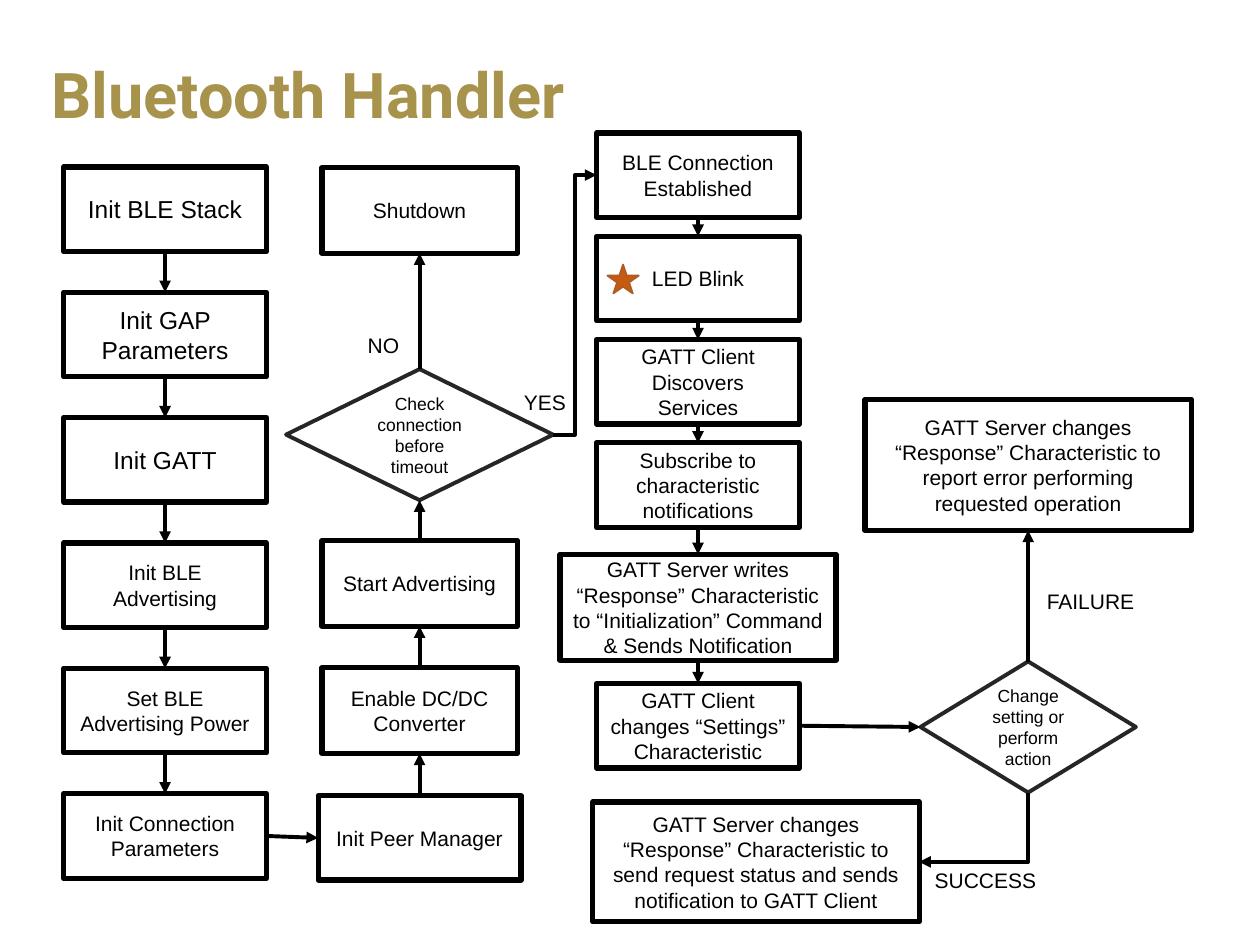
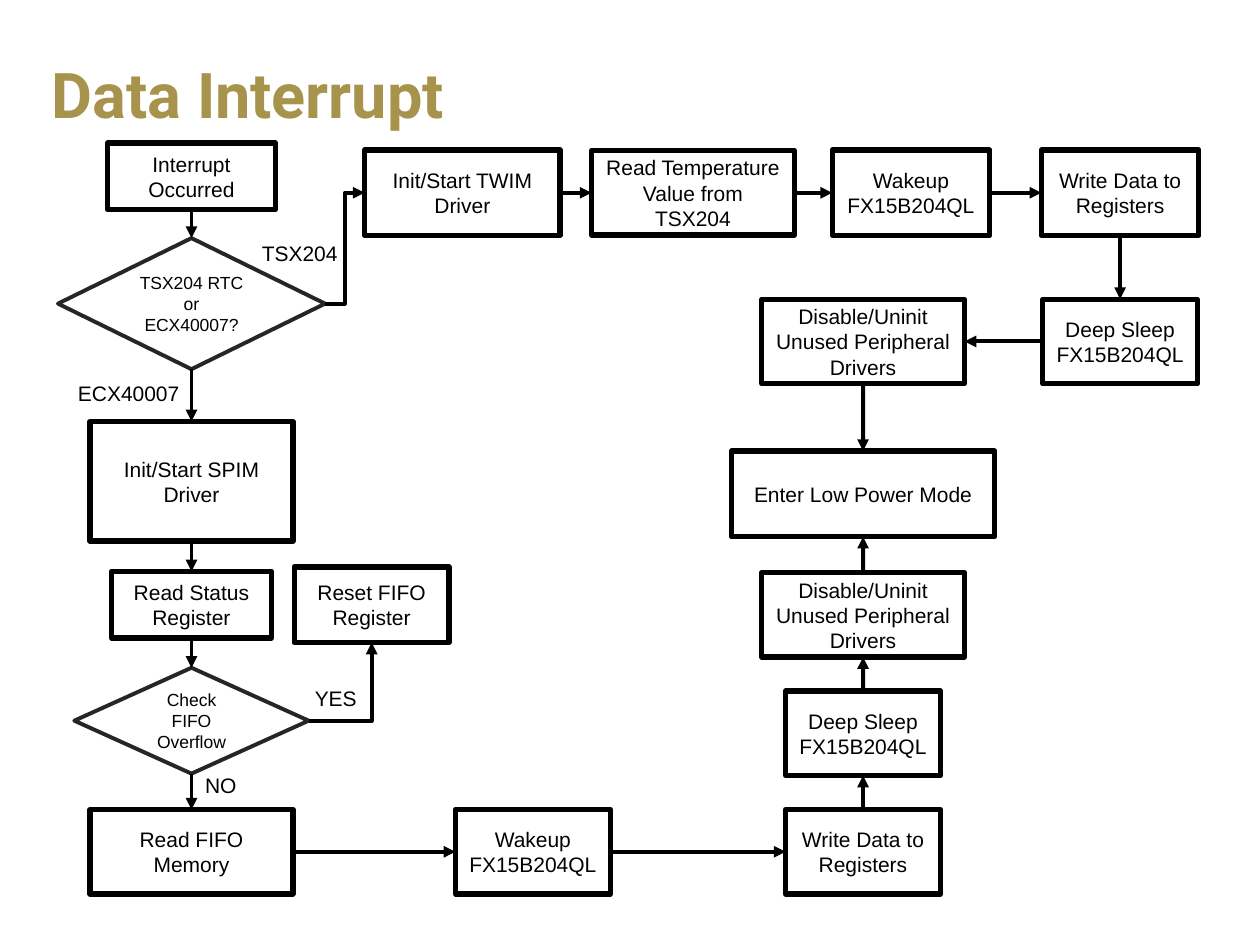
"""Build two flowchart slides about firmware for a wireless sensor."""
import lxml.etree
import pptx
import pptx.dml.color
import pptx.enum.shapes
import pptx.enum.text
import pptx.oxml.ns
import pptx.util

COLORS = {"gold": "A7934B", "ink": "000000", "decision": "262626", "star": "C55A11", "star edge": "AF5C24"}
BODY_FONT, TITLE_FONT = "Arial", "Roboto"
SIZES = {
    "standard": (1.61, 0.67), "medium": (1.55, 0.68), "small": (1.23, 0.67), "chip": (1.25, 0.68),
    "wide": (2.09, 0.68), "write": (2.19, 0.84), "success": (2.59, 0.95), "failure": (2.59, 1.04),
    "tall": (1.61, 0.95), "occurred": (1.33, 0.53), "status": (1.27, 0.53), "reset": (1.23, 0.6),
    "decision": (2.12, 1.04), "action": (1.71, 1.04), "overflow": (1.86, 0.84),
}
DECISIONS = {"decision", "action", "overflow"}
ROUTES = {
    "down": (2, 0, "line"), "up": (0, 2, "line"), "right": (3, 1, "line"), "left": (1, 3, "line"),
    "step right": (3, 1, "elbow"), "corner up": (3, 2, "corner"), "corner left": (2, 3, "corner"),
}
LABEL_HEIGHT = 0.3

# Each stack is: column centre, first row centre, row pitch, then (name, size, text, points).
SLIDES = [
    {
        "title": "Bluetooth Handler",
        "title width": 5.05,
        "stacks": [
            (1.31, 1.66, 0.995, [
                ("stack", "standard", "Init BLE Stack", 14),
                ("gap", "standard", "Init GAP Parameters", 14),
                ("gatt", "standard", "Init GATT", 14),
                ("advertising", "standard", "Init BLE Advertising", 12),
                ("power", "standard", "Set BLE Advertising Power", 12),
                ("parameters", "standard", "Init Connection Parameters", 12),
            ]),
            (3.33, 1.67, 0, [("shutdown", "medium", "Shutdown", 12)]),
            (3.33, 3.45, 0, [("check", "decision", "Check connection before timeout", 10)]),
            (3.33, 4.63, 1.01, [
                ("start", "medium", "Start Advertising", 12),
                ("converter", "medium", "Enable DC/DC Converter", 12),
                ("peer", "standard", "Init Peer Manager", 12),
            ]),
            (5.54, 1.39, 0.82, [
                ("connected", "standard", "BLE Connection Established", 12),
                ("blink", "standard", "LED Blink", 12),
                ("discover", "standard", "GATT Client Discovers Services", 12),
                ("subscribe", "standard", "Subscribe to characteristic notifications", 12),
            ]),
            (5.54, 4.82, 0.94, [
                ("write", "write", "GATT Server writes “Response” Characteristic to "
                 "“Initialization” Command & Sends Notification", 12),
                ("settings", "standard", "GATT Client changes “Settings” Characteristic", 12),
            ]),
            (6, 6.84, 0, [("success", "success", "GATT Server changes “Response” Characteristic to "
                           "send request status and sends notification to GATT Client", 12)]),
            (8.16, 3.69, 2.08, [
                ("failure", "failure", "GATT Server changes “Response” Characteristic to "
                 "report error performing requested operation", 12),
                ("action", "action", "Change setting or perform action", 10),
            ]),
        ],
        "flows": [
            ("down", "stack gap gatt advertising power parameters"),
            ("right", "parameters peer"),
            ("up", "peer converter start check shutdown"),
            ("step right", "check connected"),
            ("down", "connected blink discover subscribe write settings"),
            ("right", "settings action"),
            ("up", "action failure"),
            ("corner left", "action success"),
        ],
        "labels": [("YES", 4.06, 3.04, 0.6), ("NO", 2.82, 2.59, 0.6),
                   ("FAILURE", 8.21, 4.62, 1.07), ("SUCCESS", 7.32, 6.84, 1.09)],
        "stars": [(4.82, 2.1, 0.25, 0.23)],
    },
    {
        "title": "Data Interrupt",
        "title width": 6.4,
        "stacks": [
            (1.52, 1.4, 0, [("interrupt", "occurred", "Interrupt Occurred", 12)]),
            (1.52, 2.41, 0, [("source", "decision", "TSX204 RTC or ECX40007?", 10)]),
            (1.52, 3.82, 0.98, [
                ("spim", "tall", "Init/Start SPIM Driver", 12),
                ("status", "status", "Read Status Register", 12),
            ]),
            (1.52, 5.72, 1.04, [
                ("overflow", "overflow", "Check FIFO Overflow", 10),
                ("memory", "standard", "Read FIFO Memory", 12),
            ]),
            (2.95, 4.8, 0, [("reset", "reset", "Reset FIFO Register", 12)]),
            (3.67, 1.53, 0, [("twim", "medium", "Init/Start TWIM Driver", 12)]),
            (5.5, 1.53, 0, [("temperature", "standard", "Read Temperature Value from TSX204", 12)]),
            (7.23, 1.53, 0, [("wakeup", "chip", "Wakeup FX15B204QL", 12)]),
            (8.89, 1.53, 1.18, [
                ("registers", "chip", "Write Data to Registers", 12),
                ("sleep", "small", "Deep Sleep FX15B204QL", 12),
            ]),
            (4.23, 6.76, 0, [("fifo wakeup".replace(" ", "_"), "small", "Wakeup FX15B204QL", 12)]),
            (6.85, 2.71, 1.21, [
                ("disable", "standard", "Disable/Uninit Unused Peripheral Drivers", 12),
                ("low_power", "wide", "Enter Low Power Mode", 12),
            ]),
            (6.85, 4.88, 0.94, [
                ("fifo_disable", "standard", "Disable/Uninit Unused Peripheral Drivers", 12),
                ("fifo_sleep", "small", "Deep Sleep FX15B204QL", 12),
                ("fifo_registers", "small", "Write Data to Registers", 12),
            ]),
        ],
        "flows": [
            ("down", "interrupt source spim status overflow memory"),
            ("step right", "source twim"),
            ("right", "twim temperature wakeup registers"),
            ("down", "registers sleep"),
            ("left", "sleep disable"),
            ("down", "disable low_power"),
            ("corner up", "overflow reset"),
            ("right", "memory fifo_wakeup fifo_registers"),
            ("up", "fifo_registers fifo_sleep fifo_disable low_power"),
        ],
        "labels": [("TSX204", 1.98, 1.86, 0.9), ("ECX40007", 0.52, 2.97, 1.05),
                   ("YES", 2.4, 5.39, 0.6), ("NO", 1.53, 6.08, 0.6)],
        "stars": [],
    },
]


def rgb(name):
    """Return a named colour."""
    return pptx.dml.color.RGBColor.from_string(COLORS[name])


def inches(*lengths):
    """Convert lengths in inches."""
    return [pptx.util.Inches(length) for length in lengths]


def write_text(box, text, size=12, font=BODY_FONT, color="ink", bold=False,
               align="LEFT", anchor="TOP", spacing=1.0, fit="NONE"):
    """Put one formatted paragraph into a box."""
    frame = box.text_frame
    frame.word_wrap = True
    frame.auto_size = getattr(pptx.enum.text.MSO_AUTO_SIZE, fit)
    frame.vertical_anchor = getattr(pptx.enum.text.MSO_ANCHOR, anchor)
    para = frame.paragraphs[0]
    para.alignment = getattr(pptx.enum.text.PP_ALIGN, align)
    para.line_spacing = spacing
    span = para.add_run()
    span.text = text
    span.font.size = pptx.util.Pt(size)
    span.font.name = font
    span.font.bold = bold
    span.font.color.rgb = rgb(color)


def add_outlined(page, kind, area, line, width, fill=None):
    """Add a preset shape with an outline and an optional fill."""
    shape = page.shapes.add_shape(getattr(pptx.enum.shapes.MSO_SHAPE, kind), *inches(*area))
    shape.shadow.inherit = False
    shape.line.color.rgb = rgb(line)
    shape.line.width = pptx.util.Pt(width)
    if fill:
        shape.fill.solid()
        shape.fill.fore_color.rgb = rgb(fill)
    else:
        shape.fill.background()
    return shape


def add_node(page, center_x, center_y, size, text, points):
    """Add a process box or a decision diamond around its centre."""
    width, height = SIZES[size]
    area = (center_x - width / 2, center_y - height / 2, width, height)
    if size in DECISIONS:
        node = add_outlined(page, "FLOWCHART_DECISION", area, "decision", 2.25)
    else:
        node = add_outlined(page, "RECTANGLE", area, "ink", 3)
    write_text(node, text, size=points, align="CENTER", anchor="MIDDLE")
    return node


def turn_corner(connector, starts_down):
    """Give a connector one bend, turned a quarter when it leaves downwards."""
    properties = connector.element.spPr
    properties.find(pptx.oxml.ns.qn("a:prstGeom")).set("prst", "bentConnector2")
    if starts_down:
        left, top, width, height = connector.left, connector.top, connector.width, connector.height
        connector.left = left + (width - height) // 2
        connector.top = top + (height - width) // 2
        connector.width, connector.height = height, width
        frame = properties.find(pptx.oxml.ns.qn("a:xfrm"))
        frame.attrib.pop("flipH", None)
        frame.set("rot", str(90 * 60000))


def add_arrow(page, start, end, route):
    """Join two nodes with an arrow along a named route."""
    start_side, end_side, form = ROUTES[route]
    kinds = pptx.enum.shapes.MSO_CONNECTOR
    kind = kinds.STRAIGHT if form == "line" else kinds.ELBOW
    connector = page.shapes.add_connector(kind, 0, 0, 0, 0)
    connector.begin_connect(start, start_side)
    connector.end_connect(end, end_side)
    connector.line.color.rgb = rgb("ink")
    connector.line.width = pptx.util.Pt(2.25)
    if form == "corner":
        turn_corner(connector, start_side == 2)
    properties = connector.element.spPr
    line = properties.find(pptx.oxml.ns.qn("a:ln"))
    lxml.etree.SubElement(line, pptx.oxml.ns.qn("a:tailEnd"), type="triangle")
    lxml.etree.SubElement(properties, pptx.oxml.ns.qn("a:effectLst"))


def add_page(deck, content):
    """Build one flowchart slide."""
    page = deck.slides.add_slide(deck.slide_layouts[5])
    title = page.shapes.title
    title.left, title.top, title.width, title.height = inches(0.31, 0.22, content["title width"], 1.11)
    write_text(title, content["title"], size=36, font=TITLE_FONT, color="gold",
               bold=True, anchor="MIDDLE", spacing=0.9)
    nodes = {}
    for center_x, first_y, pitch, stack in content["stacks"]:
        for row, (name, size, text, points) in enumerate(stack):
            nodes[name] = add_node(page, center_x, first_y + row * pitch, size, text, points)
    for route, chain in content["flows"]:
        names = chain.split()
        for start, end in zip(names, names[1:]):
            add_arrow(page, nodes[start], nodes[end], route)
    for text, left, top, width in content["labels"]:
        label = page.shapes.add_textbox(*inches(left, top, width, LABEL_HEIGHT))
        write_text(label, text, fit="SHAPE_TO_FIT_TEXT")
    for area in content["stars"]:
        add_outlined(page, "STAR_5_POINT", area, "star edge", 1, fill="star")


def main():
    """Build and save the deck."""
    deck = pptx.Presentation()
    deck.slide_width, deck.slide_height = inches(10, 7.5)
    for content in SLIDES:
        add_page(deck, content)
    deck.save("out.pptx")


if __name__ == "__main__":
    main()
